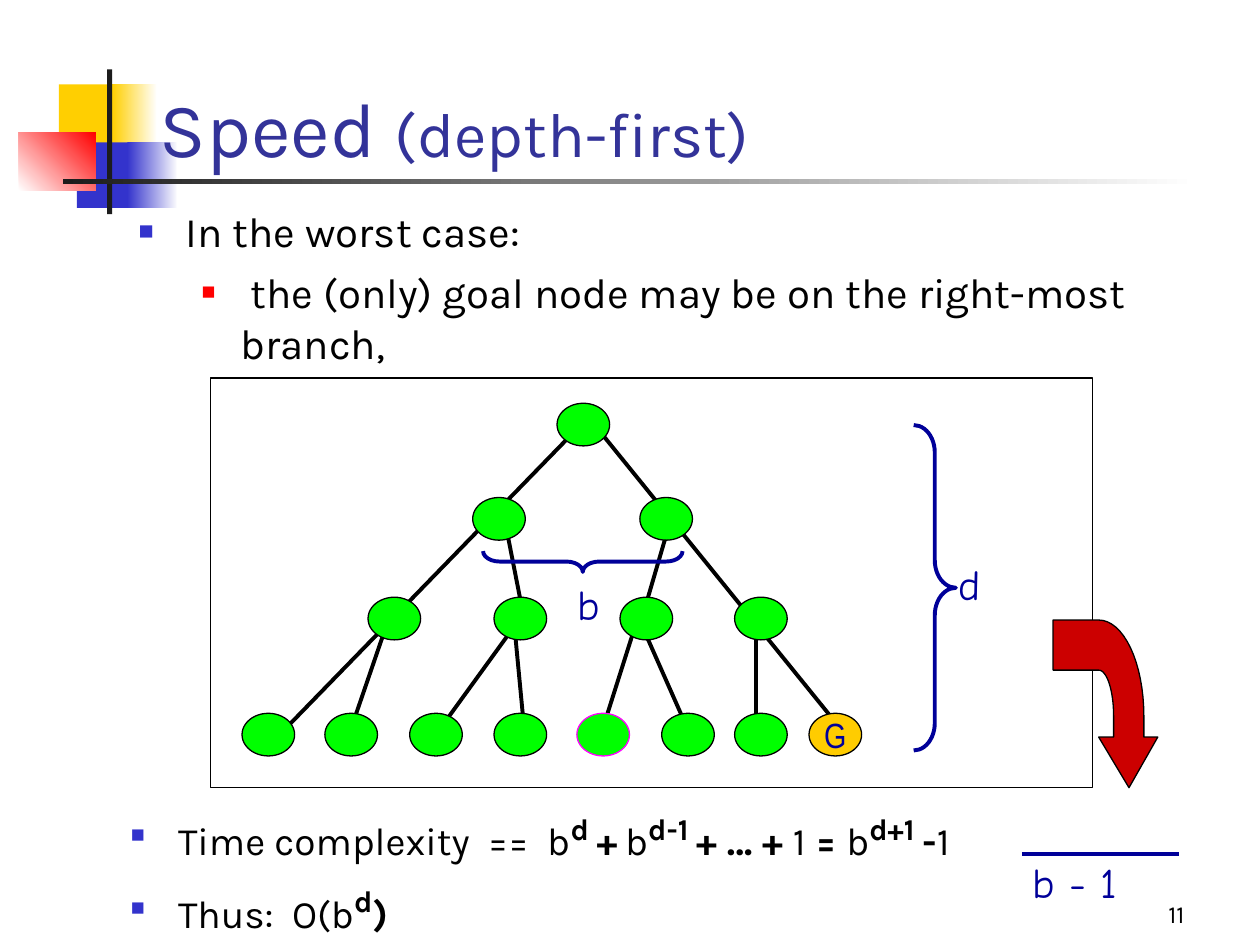
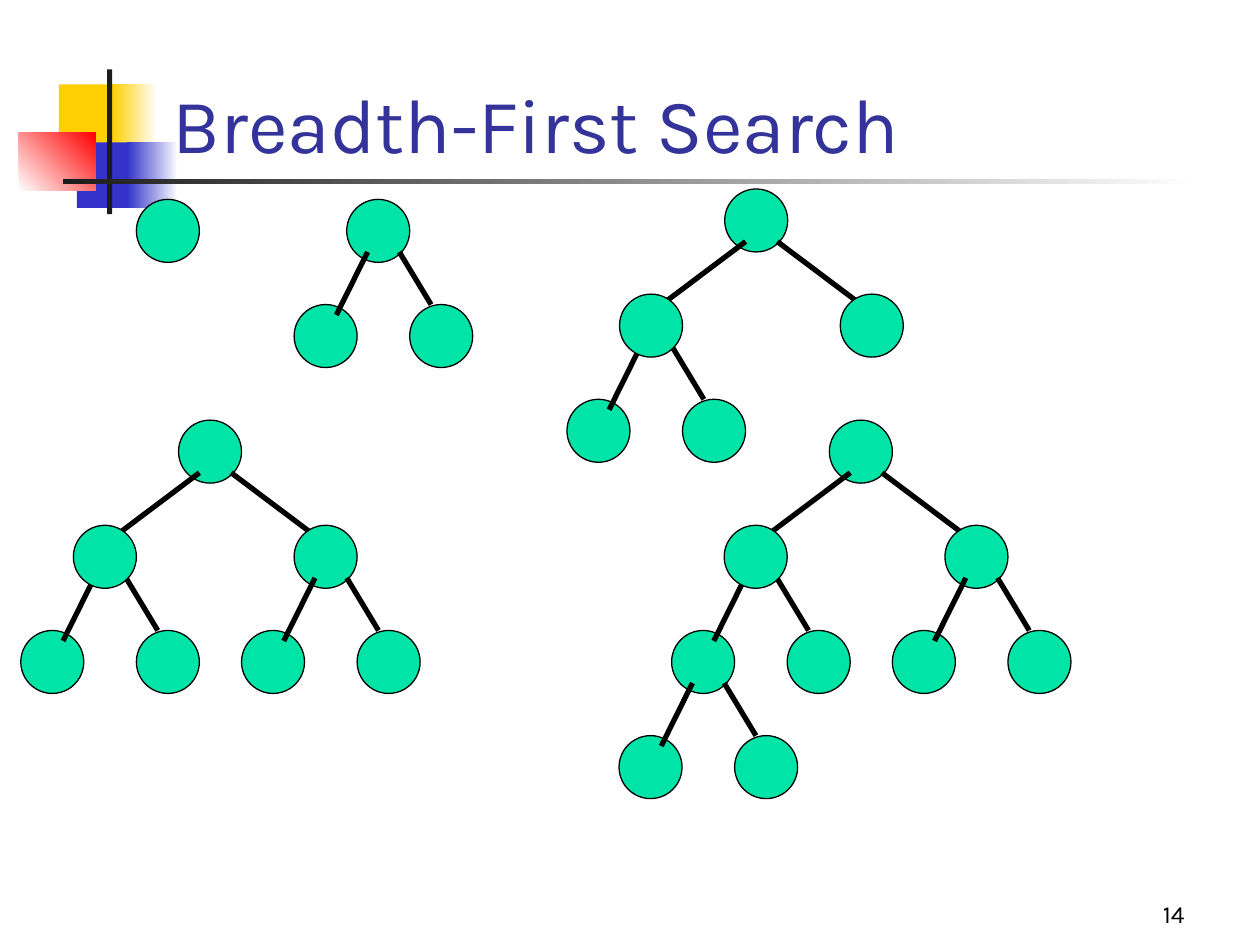
from dataclasses import dataclass
from math import cos, pi, sin

from lxml import etree
from pptx import Presentation
from pptx.dml.color import RGBColor
from pptx.enum.shapes import MSO_CONNECTOR, MSO_SHAPE
from pptx.enum.text import MSO_ANCHOR, MSO_AUTO_SIZE, PP_ALIGN
from pptx.oxml.ns import qn
from pptx.util import Cm, Pt

BLACK, WHITE, DARK = "000000", "FFFFFF", "1C1C1C"
YELLOW, BLUE, RED = "FFCF01", "3333CC", "FF0000"
TITLE_BLUE, NAVY = "333399", "000099"
GREEN, GOLD, MAGENTA, TEAL, ARROW_RED = "00FF00", "FFCC00", "FF00FF", "00E4A8", "CC0000"
KARLA, COMIC, NARROW = "Karla", "Comic Neue", "Arial Narrow"


@dataclass
class Block:
    """A decoration rectangle; a second colour makes it a gradient."""
    x: float
    y: float
    w: float
    h: float
    start: str
    end: str = ""
    angle: float = 0


@dataclass
class Run:
    text: str
    bold: bool = False
    raised: bool = False


@dataclass
class Bullet:
    runs: list
    size: float
    indent: float = 0.95
    hang: float = 0.95
    colour: str = BLUE
    percent: int = 60
    level: int = 0


@dataclass
class Tree:
    """A search tree; branches name the expanded nodes by path, in drawing order."""
    x: float
    y: float
    branches: tuple = ()
    wide: bool = True


@dataclass
class Spread:
    """Offsets of two children from their parent, and of the links to them."""
    children: tuple
    links: tuple


DECORATION = [
    Block(1.19, 1.7, 1.22, 1.32, YELLOW),
    Block(2.26, 1.7, 0.91, 1.32, YELLOW, WHITE),
    Block(1.55, 2.87, 1.17, 1.32, BLUE),
    Block(2.57, 2.87, 1.02, 1.32, BLUE, WHITE),
    Block(0.38, 2.67, 1.55, 1.17, WHITE, RED, 45),
    Block(2.16, 1.4, 0.1, 2.92, DARK),
    Block(1.27, 3.61, 22.86, 0.1, DARK, WHITE),
]

NODE = 1.27
NARROW_SPREAD = Spread(((-1.06, 2.12), (1.27, 2.12)),
                       ((0.42, 1.06, -0.21, 2.33), (1.06, 1.06, 1.7, 2.12)))
WIDE_SPREAD = Spread(((-2.12, 2.12), (2.33, 2.12)),
                     ((0.42, 1.06, -1.27, 2.33), (1.06, 1.06, 2.75, 2.33)))
SEARCH_TREES = [
    Tree(2.75, 4.02),
    Tree(14.61, 3.81, ("L", "")),
    Tree(3.6, 8.47, ("L", "", "R")),
    Tree(6.99, 4.02, ("",), wide=False),
    Tree(16.72, 8.47, ("L", "LL", "", "R")),
]

WORST_CASE_LINKS = [
    (15.24, 12.32, 15.24, 14.71), (12.9, 12.52, 13.97, 14.94),
    (12.9, 12.32, 12.07, 14.94), (10.36, 12.52, 10.59, 14.94),
    (10.59, 12.32, 8.69, 14.94), (7.82, 12.52, 6.99, 14.94),
    (13.54, 10.41, 12.9, 12.6), (10.16, 10.41, 10.59, 12.6),
    (11.86, 8.41, 5.51, 14.94), (11.86, 8.41, 17.15, 14.94),
]
LEAF_Y, GOAL_X, MARKED_X = 14.38, 16.31, 11.63
WORST_CASE_LEVELS = {
    8.13: (11.23,),
    10.03: (9.53, 12.9),
    12.04: (7.42, 9.96, 12.5, 14.81),
    LEAF_Y: (4.88, 6.55, 8.26, 9.96, MARKED_X, 13.34, 14.81, GOAL_X),
}

WORST_CASE = [
    Bullet([Run("In the worst case:")], 24),
    Bullet([Run(" the (only) goal node may be on the right-most branch,")], 24,
           2.06, 0.79, RED, 55, 1),
]
COMPLEXITY = [
    Bullet([Run("Time complexity  ==  b"), Run("d ", True, True), Run("+", True),
            Run(" ", True, True), Run("b"), Run("d-1 ", True, True),
            Run("+ … + ", True), Run("1"), Run(" = ", True), Run("b"),
            Run("d+1 ", True, True), Run("-", True), Run("1")], 22.2),
    Bullet([Run("Thus:  O(b"), Run("d", True, True), Run(")", True)], 22.2),
]


def rgb(colour: str) -> RGBColor:
    return RGBColor.from_string(colour)


def set_font(font, colour: str = BLACK, **values) -> None:
    font.color.rgb = rgb(colour)
    for name, value in values.items():
        setattr(font, name, value)


def set_frame(tf, **values) -> None:
    for name, value in values.items():
        setattr(tf, name, value)


def place(sp, x: float, y: float, w: float, h: float) -> None:
    for name, value in dict(left=x, top=y, width=w, height=h).items():
        setattr(sp, name, Cm(value))


def paint(sp, fill: str = "", line: str = "", width: float = 0.75) -> None:
    sp.shadow.inherit = False
    if fill:
        sp.fill.solid()
        sp.fill.fore_color.rgb = rgb(fill)
    else:
        sp.fill.background()
    if line:
        sp.line.color.rgb = rgb(line)
        sp.line.width = Pt(width)
    else:
        sp.line.fill.background()


def add_preset(s, kind, x: float, y: float, w: float, h: float, **look):
    sp = s.shapes.add_shape(kind, Cm(x), Cm(y), Cm(w), Cm(h))
    paint(sp, **look)
    return sp


def add_line(s, x1: float, y1: float, x2: float, y2: float,
             width: float, colour: str = BLACK) -> None:
    line = s.shapes.add_connector(MSO_CONNECTOR.STRAIGHT, Cm(x1), Cm(y1), Cm(x2), Cm(y2))
    line.line.color.rgb = rgb(colour)
    line.line.width = Pt(width)
    etree.SubElement(line._element.spPr, qn("a:effectLst"))


def add_label(s, text: str, x: float, y: float, w: float) -> None:
    tf = s.shapes.add_textbox(Cm(x), Cm(y), Cm(w), Cm(1.27)).text_frame
    set_frame(tf, word_wrap=False, auto_size=MSO_AUTO_SIZE.SHAPE_TO_FIT_TEXT)
    r = tf.paragraphs[0].add_run()
    r.text = text
    set_font(r.font, NAVY, name=COMIC, size=Pt(24))


def add_bullet_mark(p, bullet: Bullet) -> None:
    pPr = p._p.get_or_add_pPr()
    pPr.set("marL", str(Cm(bullet.indent)))
    pPr.set("indent", str(-Cm(bullet.hang)))
    colour = etree.SubElement(pPr, qn("a:buClr"))
    etree.SubElement(colour, qn("a:srgbClr"), val=bullet.colour)
    etree.SubElement(pPr, qn("a:buSzPct"), val=str(bullet.percent * 1000))
    etree.SubElement(pPr, qn("a:buFont"), typeface="Arial")
    etree.SubElement(pPr, qn("a:buChar"), char="■")


def write_bullets(tf, bullets: list) -> None:
    set_frame(tf, word_wrap=True, auto_size=MSO_AUTO_SIZE.NONE)
    for i, bullet in enumerate(bullets):
        p = tf.add_paragraph() if i else tf.paragraphs[0]
        p.level = bullet.level
        add_bullet_mark(p, bullet)
        p.space_before = Pt(6 if i else 0)
        for run in bullet.runs:
            r = p.add_run()
            r.text = run.text
            size = bullet.size * 4 / 3 if run.raised else bullet.size
            set_font(r.font, name=KARLA, size=Pt(size), bold=run.bold)
            if run.raised:
                r.font._element.set("baseline", "30000")


def add_decoration(s) -> None:
    for block in DECORATION:
        sp = add_preset(s, MSO_SHAPE.RECTANGLE, block.x, block.y, block.w, block.h,
                        fill=block.start)
        if block.end:
            sp.fill.gradient()
            sp.fill.gradient_angle = block.angle
            for stop, colour in zip(sp.fill.gradient_stops, (block.start, block.end)):
                stop.color.rgb = rgb(colour)


def add_base_slide(prs, layout: int, number: int, title: list, x: float, y: float):
    """Add a slide with decoration, number and a title of (text, size) runs."""
    s = prs.slides.add_slide(prs.slide_layouts[layout])
    add_decoration(s)
    for ph in s.placeholders:
        ph._element.getparent().append(ph._element)

    place(s.shapes.title, x, y, 21.6, 3.18)
    tf = s.shapes.title.text_frame
    set_frame(tf, vertical_anchor=MSO_ANCHOR.BOTTOM, auto_size=MSO_AUTO_SIZE.NONE)
    p = tf.paragraphs[0]
    p.alignment = PP_ALIGN.LEFT
    for text, size in title:
        r = p.add_run()
        r.text = text
        set_font(r.font, TITLE_BLUE, name=KARLA, size=Pt(size))

    tf = s.shapes.add_textbox(Cm(18.85), Cm(17.58), Cm(5.28), Cm(1.27)).text_frame
    set_frame(tf, word_wrap=True, vertical_anchor=MSO_ANCHOR.BOTTOM)
    p = tf.paragraphs[0]
    p.alignment = PP_ALIGN.RIGHT
    r = p.add_run()
    r.text = str(number)
    set_font(r.font, name=KARLA, size=Pt(14))
    return s


def add_worst_case_tree(s) -> None:
    add_preset(s, MSO_SHAPE.RECTANGLE, 4.24, 7.62, 17.78, 8.26, fill=WHITE, line=BLACK)
    for link in WORST_CASE_LINKS:
        add_line(s, *link, width=2.25)
    for y, row in WORST_CASE_LEVELS.items():
        for x in row:
            goal = (x, y) == (GOAL_X, LEAF_Y)
            marked = (x, y) == (MARKED_X, LEAF_Y)
            sp = add_preset(s, MSO_SHAPE.OVAL, x, y, 1.06, 0.86,
                            fill=GOLD if goal else GREEN,
                            line=MAGENTA if marked else BLACK)
            if goal:
                tf = sp.text_frame
                set_frame(tf, word_wrap=False, vertical_anchor=MSO_ANCHOR.MIDDLE)
                p = tf.paragraphs[0]
                p.alignment = PP_ALIGN.CENTER
                r = p.add_run()
                r.text = "G"
                set_font(r.font, NAVY, name=NARROW, size=Pt(20))


def add_braces(s) -> None:
    depth = add_preset(s, MSO_SHAPE.RIGHT_BRACE, 18.42, 8.57, 0.85, 6.56,
                       line=NAVY, width=2.25)
    depth.adjustments[0] = 0.65
    add_label(s, "d", 19.08, 11.13, 0.94)
    breadth = add_preset(s, MSO_SHAPE.LEFT_BRACE, 11.54, 9.31, 0.42, 4.02,
                         line=NAVY, width=2.25)
    breadth.adjustments[0] = 0.79
    breadth.rotation = 270
    add_label(s, "b", 11.4, 11.53, 0.97)


def quarter_arc(rx: float, ry: float, steps: int = 16) -> list:
    """Points of the arrow's bend, from its top to its right side."""
    angles = [i * pi / 2 / steps for i in range(steps + 1)]
    return [(22.15 + rx * sin(a), 14.43 - ry * cos(a)) for a in angles]


def add_bent_arrow(s) -> None:
    outline = [(21.23, 12.5), *quarter_arc(0.91, 1.93), (23.06, 14.86), (23.34, 14.86),
               (22.76, 15.88), (22.15, 14.86), (22.45, 14.86),
               *reversed(quarter_arc(0.3, 0.92)), (21.23, 13.51)]
    points = [(Cm(x), Cm(y)) for x, y in outline]
    builder = s.shapes.build_freeform(*points[0])
    builder.add_line_segments(points[1:], close=True)
    paint(builder.convert_to_shape(), fill=ARROW_RED, line=BLACK)


def build_speed_slide(prs) -> None:
    s = add_base_slide(prs, 1, 11, [("Speed ", 44), ("(depth-first)", 36)], 2.97, 0.43)
    body = s.placeholders[1]
    place(body, 2.54, 4.02, 22.86, 15.03)
    write_bullets(body.text_frame, WORST_CASE)
    add_worst_case_tree(s)
    add_braces(s)
    box = s.shapes.add_textbox(Cm(2.39), Cm(16.08), Cm(22.86), Cm(2.74))
    write_bullets(box.text_frame, COMPLEXITY)
    add_bent_arrow(s)
    add_label(s, "b - 1", 20.57, 17.15, 2.3)
    add_line(s, 20.6, 17.22, 23.77, 17.22, 2.25, NAVY)


def add_search_node(s, x: float, y: float) -> None:
    add_preset(s, MSO_SHAPE.OVAL, x, y, NODE, NODE, fill=TEAL, line=BLACK)


def add_branch(s, tree: Tree, branch: str) -> None:
    """Draw both children of one node; wide links lie behind the children."""
    x, y = tree.x, tree.y
    spread = WIDE_SPREAD if tree.wide else NARROW_SPREAD
    for side in branch:
        dx, dy = spread.children["LR".index(side)]
        x, y, spread = x + dx, y + dy, NARROW_SPREAD

    def add_links() -> None:
        for x1, y1, x2, y2 in spread.links:
            add_line(s, x + x1, y + y1, x + x2, y + y2, 3)

    if spread is WIDE_SPREAD:
        add_links()
    for dx, dy in spread.children:
        add_search_node(s, x + dx, y + dy)
    if spread is NARROW_SPREAD:
        add_links()


def build_breadth_slide(prs) -> None:
    s = add_base_slide(prs, 5, 14, [("Breadth-First Search", 44)], 3.23, 0.36)
    for tree in SEARCH_TREES:
        add_search_node(s, tree.x, tree.y)
        for branch in tree.branches:
            add_branch(s, tree, branch)


def main() -> None:
    prs = Presentation()
    prs.slide_width, prs.slide_height = Cm(25.4), Cm(19.05)
    build_speed_slide(prs)
    build_breadth_slide(prs)
    prs.save("out.pptx")


if __name__ == "__main__":
    main()
